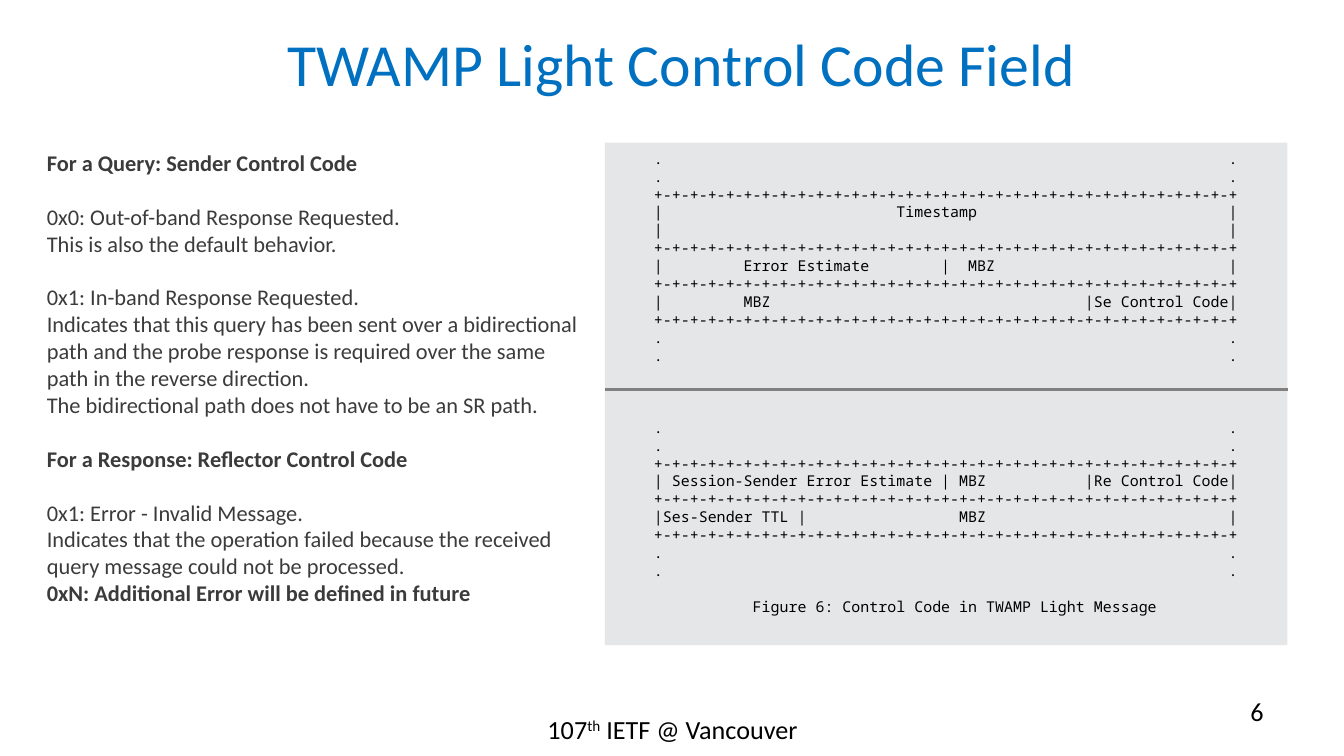
from pptx import Presentation
from pptx.dml.color import RGBColor as RGB
from pptx.enum.shapes import MSO_CONNECTOR as Conn, MSO_SHAPE as Shape
from pptx.enum.text import MSO_ANCHOR as Anchor, PP_ALIGN as Align
from pptx.oxml.ns import qn
from pptx.util import Inches, Pt
from lxml.etree import SubElement

BLUE = RGB(0x00, 0x70, 0xC0)
BLACK = RGB(0, 0, 0)
INK = RGB(0x3B, 0x3B, 0x3B)
PALE = RGB(0xE5, 0xE6, 0xE8)
GREY = RGB(0x80, 0x80, 0x80)
WIDTH = Inches(10)
HEIGHT = WIDTH * 9 // 16
COL, ROW = WIDTH / 100, HEIGHT / 100
SPLIT, TOP, SPAN = 45, 18.86, 50.8
BODY_LINE, CODE_LINE = Pt(14.4), Pt(9.6)

NOTES = [
    (0, True, "For a Query: Sender Control Code"),
    (1, False, "0x0: Out-of-band Response Requested."),
    (0, False, "This is also the default behavior."),
    (1, False, "0x1: In-band Response Requested."),
    (0, False, "Indicates that this query has been sent over a bidirectional path and "
               "the probe response is required over the same path in the reverse direction."),
    (0, False, "The bidirectional path does not have to be an SR path."),
    (1, True, "For a Response: Reflector Control Code"),
    (1, False, "0x1: Error - Invalid Message."),
    (0, False, "Indicates that the operation failed because the received query message "
               "could not be processed."),
    (0, True, "0xN: Additional Error will be defined in future"),
]


def grid(x, y, w, h):
    """Turn columns and rows into slide lengths."""
    return [int(n) for n in (x * COL, y * ROW, w * COL, h * ROW)]


def style(para, size, color, font="Calibri", bold=False):
    """Set the font of a whole paragraph."""
    face = para.font
    face.name, face.size, face.bold = font, Pt(size), bold
    face.color.rgb = color


def fill(frame, lines, step, size, color, font="Calibri"):
    """Write lines of (gap, bold, text) as paragraphs."""
    frame.word_wrap = True
    frame.vertical_anchor = Anchor.TOP
    for i, (gap, bold, text) in enumerate(lines):
        para = frame.paragraphs[0] if i == 0 else frame.add_paragraph()
        para.alignment = Align.LEFT
        para.add_run().text = text
        if gap:
            para.space_before = int(gap * step)
        style(para, size, color, font, bold)


def label(slide, place, parts, size, color, align, anchor=Anchor.TOP):
    """Add one line of text and return its runs."""
    frame = slide.shapes.add_textbox(*grid(*place)).text_frame
    frame.word_wrap = True
    frame.vertical_anchor = anchor
    para = frame.paragraphs[0]
    para.alignment = align
    for part in parts:
        para.add_run().text = part
    style(para, size, color)
    return para.runs


def cells(*fields):
    """Draw one packet row from (width, text) fields."""
    return "    |" + "".join(f"{text:{width}}|" for width, text in fields)


def packet():
    """List the lines of both packet diagrams."""
    rule = "    " + "+-" * 32 + "+"
    dots = f"    .{'':63}."
    query = [
        dots, dots, rule,
        cells((63, "                          Timestamp")),
        cells((63, "")), rule,
        cells((31, "         Error Estimate"), (31, "  MBZ")), rule,
        cells((47, "         MBZ"), (15, "Se Control Code")), rule,
        dots, dots,
    ]
    reply = [
        dots, dots, rule,
        cells((31, " Session-Sender Error Estimate"), (15, " MBZ"), (15, "Re Control Code")),
        rule,
        cells((15, "Ses-Sender TTL"), (47, "                 MBZ")), rule,
        dots, dots,
    ]
    title = ["               Figure 6: Control Code in TWAMP Light Message"]
    return [(gap if i == 0 else 0, False, text)
            for gap, block in ((0, query), (3, reply), (1, title))
            for i, text in enumerate(block)]


def panel(slide):
    """Add the shaded panel with the packet diagrams."""
    box = slide.shapes.add_shape(Shape.RECTANGLE, *grid(SPLIT, TOP, SPAN, 66.49))
    box.shadow.inherit = False
    box.fill.solid()
    box.fill.fore_color.rgb = PALE
    box.line.fill.background()
    fill(box.text_frame, packet(), CODE_LINE, 8, BLACK, "Noto Sans Mono")
    for para in box.text_frame.paragraphs:
        para.line_spacing = CODE_LINE


def divide(slide, y):
    """Add the line between the two diagrams."""
    x, y, w, _ = grid(SPLIT, y, SPAN, 0)
    line = slide.shapes.add_connector(Conn.STRAIGHT, x, y, x + w, y)
    line.line.color.rgb = GREY
    line.line.width = Pt(1.5)
    SubElement(line._element.spPr, qn("a:effectLst"))


def main():
    """Build the slide and save it."""
    deck = Presentation()
    deck.slide_width, deck.slide_height = WIDTH, HEIGHT
    slide = deck.slides.add_slide(deck.slide_layouts[6])
    label(slide, (3.2, 0, 95, 16.67), ["TWAMP Light Control Code Field"],
          32, BLUE, Align.CENTER, Anchor.MIDDLE)
    foot = label(slide, (34.2, 93.5, 31.7, 6.93), ["107", "th", " IETF @ Vancouver"],
                 14, BLACK, Align.CENTER)
    foot[1].font._element.set("baseline", "30000")
    label(slide, (71.7, 91.1, 23.3, 6.93), ["6"], 14, BLACK, Align.RIGHT)
    panel(slide)
    notes = slide.shapes.add_textbox(*grid(2.5, TOP, 42.5, 62.76))
    fill(notes.text_frame, NOTES, BODY_LINE, 12, INK)
    divide(slide, 51.56)
    deck.save("out.pptx")


if __name__ == "__main__":
    main()
